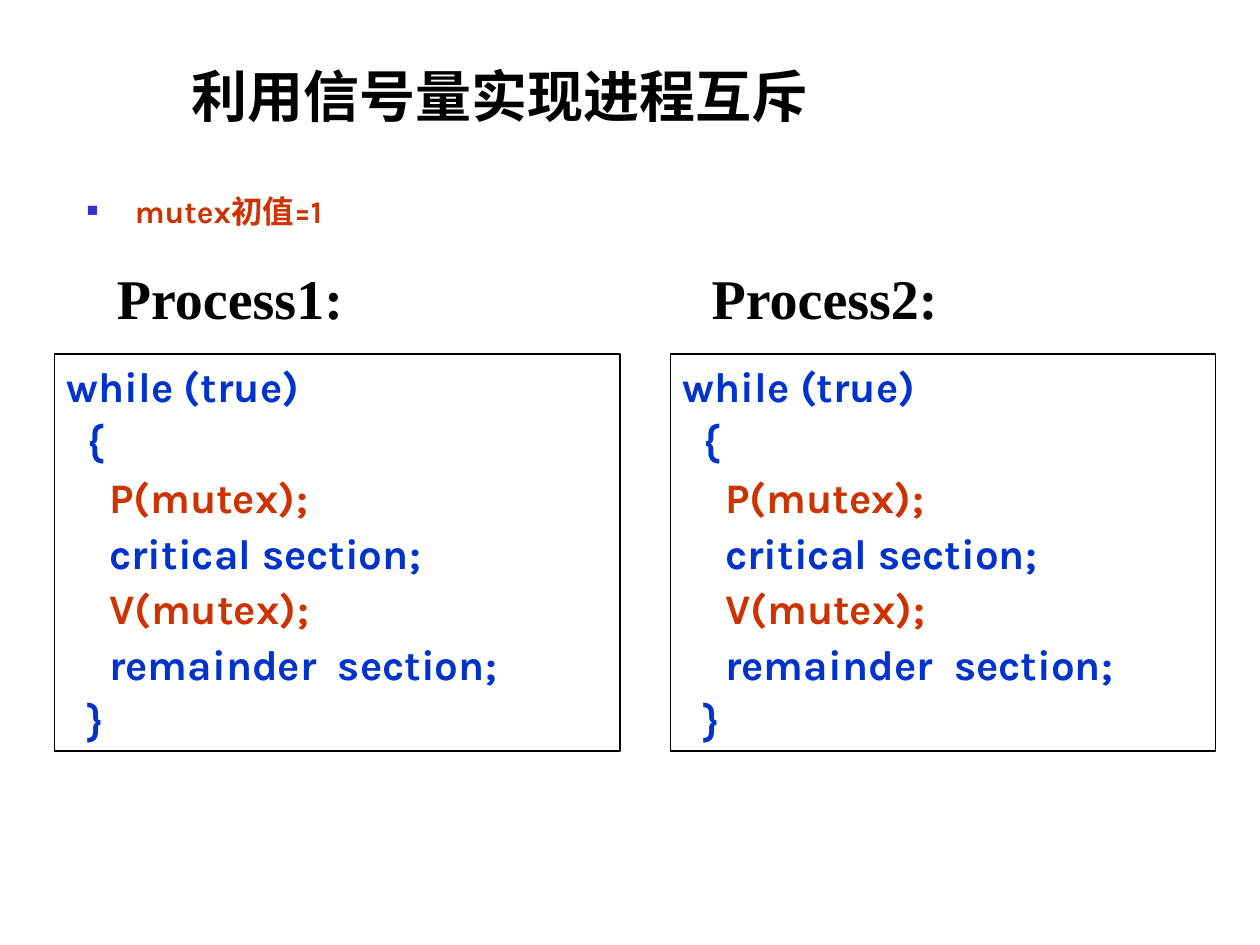
from lxml import etree
from pptx import Presentation
from pptx.dml.color import RGBColor
from pptx.enum.shapes import MSO_SHAPE
from pptx.enum.text import MSO_ANCHOR, PP_ALIGN
from pptx.oxml.ns import qn
from pptx.util import Inches, Pt

RECT = MSO_SHAPE.RECTANGLE
TOP = MSO_ANCHOR.TOP
LEFT, CENTER = PP_ALIGN.LEFT, PP_ALIGN.CENTER

COLORS = {"ink": "000000", "code": "0033CC", "key": "CC3300", "mark": "3333CC"}
HEAD = {"name": "Times New Roman", "size": Pt(32), "bold": True}
CODE = {"name": "Karla", "size": Pt(24), "bold": True}
NOTE = {"name": "Karla", "size": Pt(18), "bold": True}
FRAME = {
    "margin_left": Inches(0.1), "margin_right": Inches(0.1),
    "margin_top": Inches(0.05), "margin_bottom": Inches(0.05),
    "vertical_anchor": TOP,
}
LINES = [
    ("while (true)", "code"),
    ("  {", "code"),
    ("    P(mutex);", "key"),
    ("    critical section;", "code"),
    ("    V(mutex);", "key"),
    ("    remainder  section;", "code"),
    ("  }", "code"),
]


def apply(item, values):
    for name, value in values.items():
        setattr(item, name, value)


def place(shape, box):
    names = ("left", "top", "width", "height")
    apply(shape, dict(zip(names, map(Inches, box))))


def fill_text(shape, lines, font, wrap=True, gap=0, align=LEFT):
    frame = shape.text_frame
    apply(frame, {**FRAME, "word_wrap": wrap})
    for i, (text, color) in enumerate(lines):
        para = frame.add_paragraph() if i else frame.paragraphs[0]
        apply(para, {"alignment": align, "space_before": Pt(gap if i else 0)})
        run = para.add_run()
        run.text = text
        apply(run.font, font)
        run.font.color.rgb = RGBColor.from_string(COLORS[color])


def add_bullet(para, indent):
    props = para._p.get_or_add_pPr()
    props.set("marL", str(Inches(indent)))
    props.set("indent", str(-Inches(indent)))
    color = etree.SubElement(props, qn("a:buClr"))
    etree.SubElement(color, qn("a:srgbClr"), val=COLORS["mark"])
    etree.SubElement(props, qn("a:buSzPct"), val="60000")
    etree.SubElement(props, qn("a:buChar"), char="■")


def add_title(slide, box):
    title = slide.shapes.title
    place(title, box)
    fill_text(title, [("利用信号量实现进程互斥 ", "ink")], HEAD, align=CENTER)


def add_note(slide, box):
    body = slide.placeholders[1]
    place(body, box)
    add_bullet(body.text_frame.paragraphs[0], 0.38)
    fill_text(body, [("mutex初值=1", "key")], NOTE)


def add_process(slide, name, box, inset):
    left, top, width, height = box
    panel = slide.shapes.add_shape(RECT, *map(Inches, box))
    panel.shadow.inherit = False
    panel.fill.background()
    panel.line.color.rgb = RGBColor.from_string(COLORS["ink"])
    panel.line.width = Pt(0.75)
    fill_text(panel, LINES, CODE, gap=3)
    spot = map(Inches, (left + inset, top - 0.77, 2, 0.64))
    label = slide.shapes.add_textbox(*spot)
    fill_text(label, [(name, "ink")], HEAD, wrap=False)


def main():
    deck = Presentation()
    deck.slide_width, deck.slide_height = Inches(10), Inches(7.5)
    slide = deck.slides.add_slide(deck.slide_layouts[1])
    add_title(slide, (1.38, 0.44, 5.28, 0.64))
    add_note(slide, (0.59, 1.47, 9.2, 4.96))
    add_process(slide, "Process1:", (0.43, 2.81, 4.49, 3.15), 0.4)
    add_process(slide, "Process2:", (5.32, 2.81, 4.33, 3.15), 0.23)
    deck.save("out.pptx")


if __name__ == "__main__":
    main()
